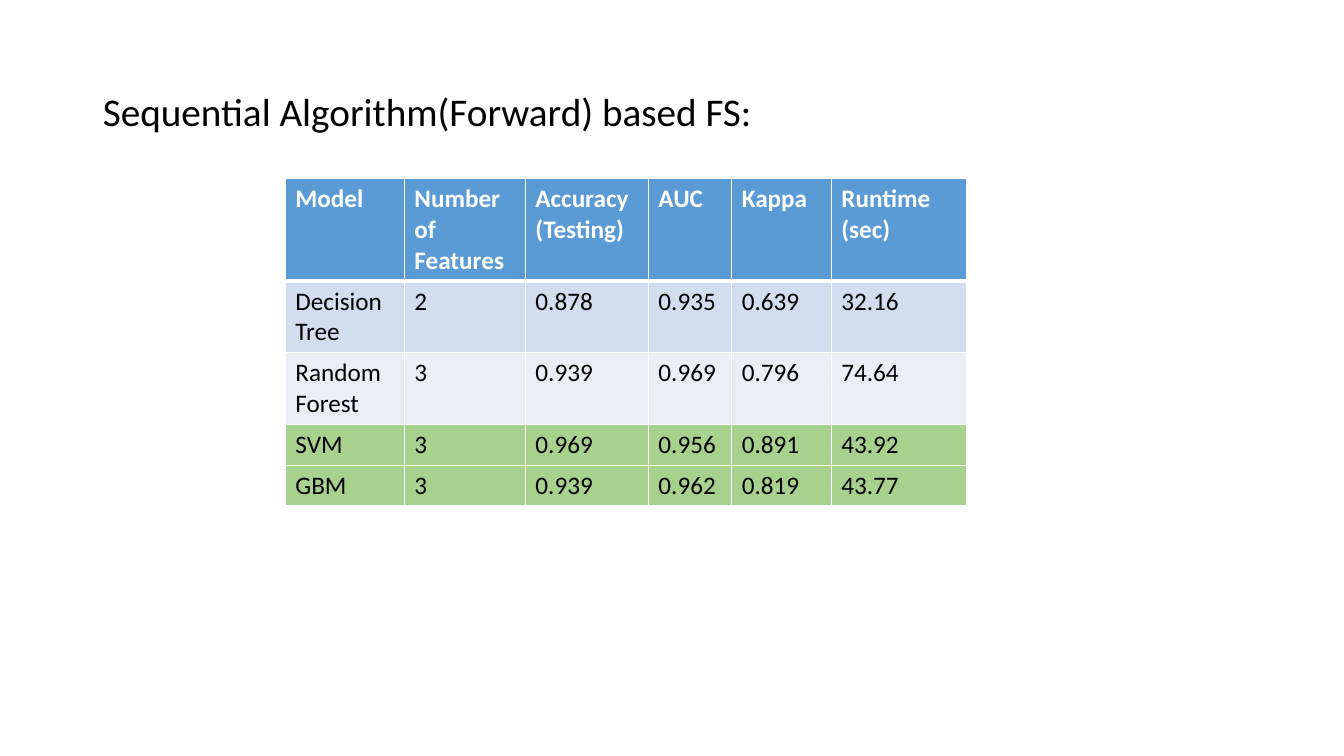
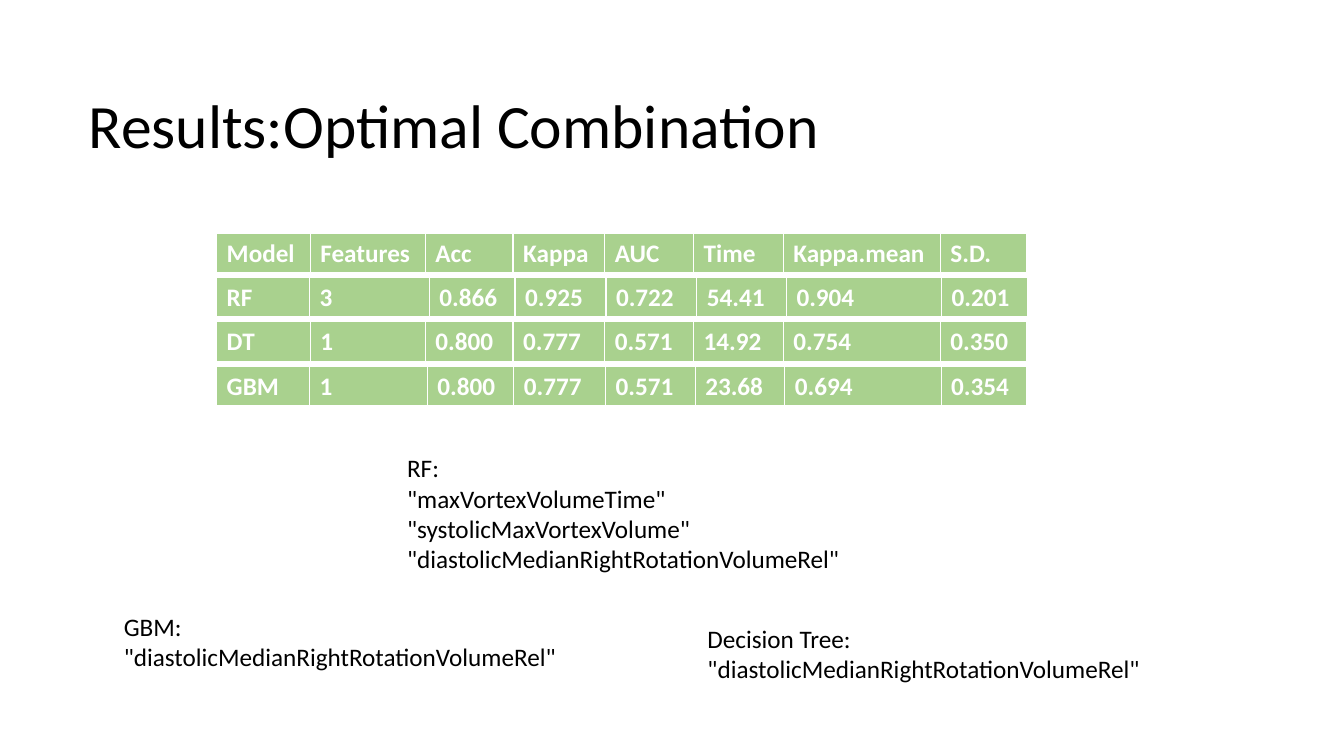
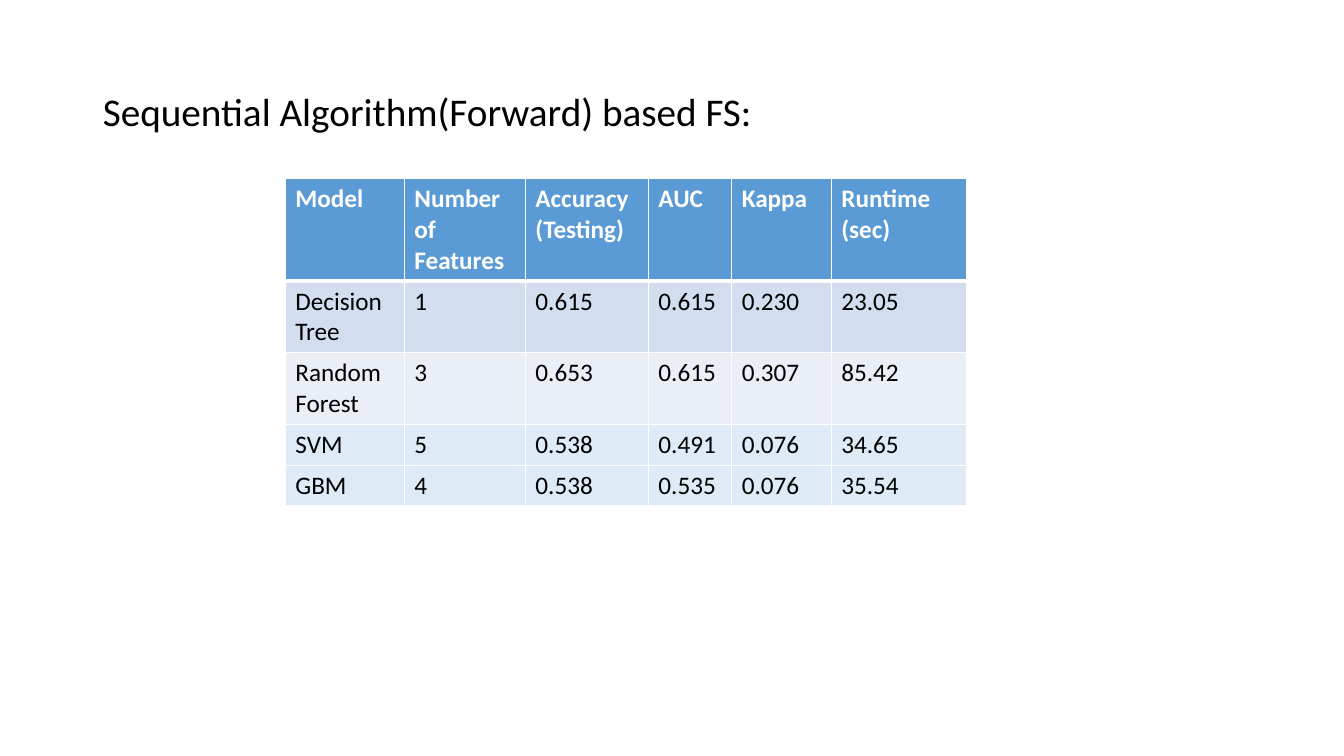
import pptx
import pptx.util
import pptx.dml.color
import pptx.enum.text
import pptx.oxml
from pptx.oxml.ns import nsdecls

Cm, Pt = pptx.util.Cm, pptx.util.Pt
FONT = "Calibri"
COLORS = {
    "text": "000000", "white": "FFFFFF", "header": "5B9BD5",
    "band_dark": "D2DEEF", "band_light": "EAEFF7",
    "green": "A9D18E", "pale_blue": "DEEBF7",
}

# Content: feature selection tables
FS_TITLE = "Sequential Algorithm(Forward) based FS:"
FS_HEADER = ("Model", "Number of Features", "Accuracy (Testing)", "AUC", "Kappa", "Runtime (sec)")
FS_COLS = (3.0, 3.05, 3.1, 2.1, 2.51, 3.4)
FS_ROWS = (2.54, 1.78, 1.78, 1.03, 1.03)
FIRST_RESULTS = (
    ("Decision Tree", "2", "0.878", "0.935", "0.639", "32.16"),
    ("Random Forest", "3", "0.939", "0.969", "0.796", "74.64"),
    ("SVM", "3", "0.969", "0.956", "0.891", "43.92"),
    ("GBM", "3", "0.939", "0.962", "0.819", "43.77"),
)
SECOND_RESULTS = (
    ("Decision Tree", "1", "0.615", "0.615", "0.230", "23.05"),
    ("Random Forest", "3", "0.653", "0.615", "0.307", "85.42"),
    ("SVM", "5", "0.538", "0.491", "0.076", "34.65"),
    ("GBM", "4", "0.538", "0.535", "0.076", "35.54"),
)

# Content: optimal combination, one table per strip
WIDE_COLS = (2.36, 2.9, 2.21, 2.31, 2.24, 2.26, 3.96, 2.18)
STRIPS = (
    (("Model", "Features", "Acc", "Kappa", "AUC", "Time", "Kappa.mean", "S.D."), WIDE_COLS),
    (("RF", "3", "0.866", "0.925", "0.722", "54.41", "0.904", "0.201"),
     (2.34, 3.02, 2.16, 2.29, 2.29, 2.26, 3.91, 2.16)),
    (("DT", "1", "0.800", "0.777", "0.571", "14.92", "0.754", "0.350"), WIDE_COLS),
    (("GBM", "1", "0.800", "0.777", "0.571", "23.68", "0.694", "0.354"),
     (2.34, 2.97, 2.18, 2.31, 2.26, 2.26, 3.94, 2.16)),
)
STRIP_LEFT, STRIP_TOP, STRIP_PITCH, STRIP_HEIGHT = 5.46, 5.87, 1.12, 1.03
SHARED_FEATURE = '"diastolicMedianRightRotationVolumeRel"'
FEATURE_NOTES = (
    ((10.01, 11.28, 13.13, 3.33),
     ("RF:", '"maxVortexVolumeTime"', '"systolicMaxVortexVolume"', SHARED_FEATURE)),
    ((2.87, 15.27, 11.66, 1.8), ("GBM:", SHARED_FEATURE)),
    ((17.58, 15.57, 12.27, 1.8), ("Decision Tree:", SHARED_FEATURE)),
)


def style(p, size, color="text", bold=False):
    p.font.name, p.font.size, p.font.bold = FONT, Pt(size), bold
    p.font.color.rgb = pptx.dml.color.RGBColor.from_string(COLORS[color])


def add_titled_slide(prs, title, left, top, size):
    s = prs.slides.add_slide(prs.slide_layouts[5])
    sp = s.shapes.title
    sp.left, sp.top, sp.width, sp.height = Cm(left), Cm(top), Cm(29.21), Cm(3.68)
    tf = sp.text_frame
    tf.text = title
    tf.vertical_anchor = pptx.enum.text.MSO_ANCHOR.MIDDLE
    tf.auto_size = pptx.enum.text.MSO_AUTO_SIZE.NONE
    p = tf.paragraphs[0]
    p.alignment = pptx.enum.text.PP_ALIGN.LEFT
    p.line_spacing = 0.9
    style(p, size)
    return s


def set_borders(cell, top, bottom):
    tc_pr = cell._tc.get_or_add_tcPr()
    for side, width in (("L", 1), ("R", 1), ("T", top), ("B", bottom)):
        tc_pr.append(pptx.oxml.parse_xml(
            f'<a:ln{side} {nsdecls("a")} w="{Pt(width)}"><a:solidFill>'
            f'<a:srgbClr val="{COLORS["white"]}"/></a:solidFill></a:ln{side}>'))


def add_table(s, left, top, cols, heights, rows, fills):
    """The first row is a bold white header with a thick line below."""
    table = s.shapes.add_table(len(rows), len(cols), Cm(left), Cm(top),
                               Cm(sum(cols)), Cm(sum(heights))).table
    table.horz_banding = False
    for column, width in zip(table.columns, cols):
        column.width = Cm(width)
    for i, (row, height, fill) in enumerate(zip(rows, heights, fills)):
        table.rows[i].height = Cm(height)
        for j, text in enumerate(row):
            cell = table.cell(i, j)
            cell.text = text
            set_borders(cell, 3 if i == 1 else 1, 3 if i == 0 else 1)
            cell.fill.solid()
            cell.fill.fore_color.rgb = pptx.dml.color.RGBColor.from_string(COLORS[fill])
            style(cell.text_frame.paragraphs[0], 18, "text" if i else "white", i == 0)


def add_note(s, box, lines):
    tf = s.shapes.add_textbox(*map(Cm, box)).text_frame
    tf.word_wrap = True
    tf.auto_size = pptx.enum.text.MSO_AUTO_SIZE.SHAPE_TO_FIT_TEXT
    tf.text = "\n".join(lines)
    for p in tf.paragraphs:
        style(p, 18)


def add_selection_slide(prs, results, last_fill):
    s = add_titled_slide(prs, FS_TITLE, 2.34, 1.02, 28)
    fills = ("header", "band_dark", "band_light", last_fill, last_fill)
    add_table(s, 7.19, 4.5, FS_COLS, FS_ROWS, (FS_HEADER,) + results, fills)


def add_combination_slide(prs):
    s = add_titled_slide(prs, "Results:Optimal Combination", 1.98, 1.4, 44)
    for i, (row, cols) in enumerate(STRIPS):
        add_table(s, STRIP_LEFT, STRIP_TOP + i * STRIP_PITCH, cols,
                  (STRIP_HEIGHT,), (row,), ("green",))
    for box, lines in FEATURE_NOTES:
        add_note(s, box, lines)


def main():
    prs = pptx.Presentation()
    prs.slide_width, prs.slide_height = Cm(33.87), Cm(19.05)
    add_selection_slide(prs, FIRST_RESULTS, "green")
    add_combination_slide(prs)
    add_selection_slide(prs, SECOND_RESULTS, "pale_blue")
    prs.save("out.pptx")


if __name__ == "__main__":
    main()
